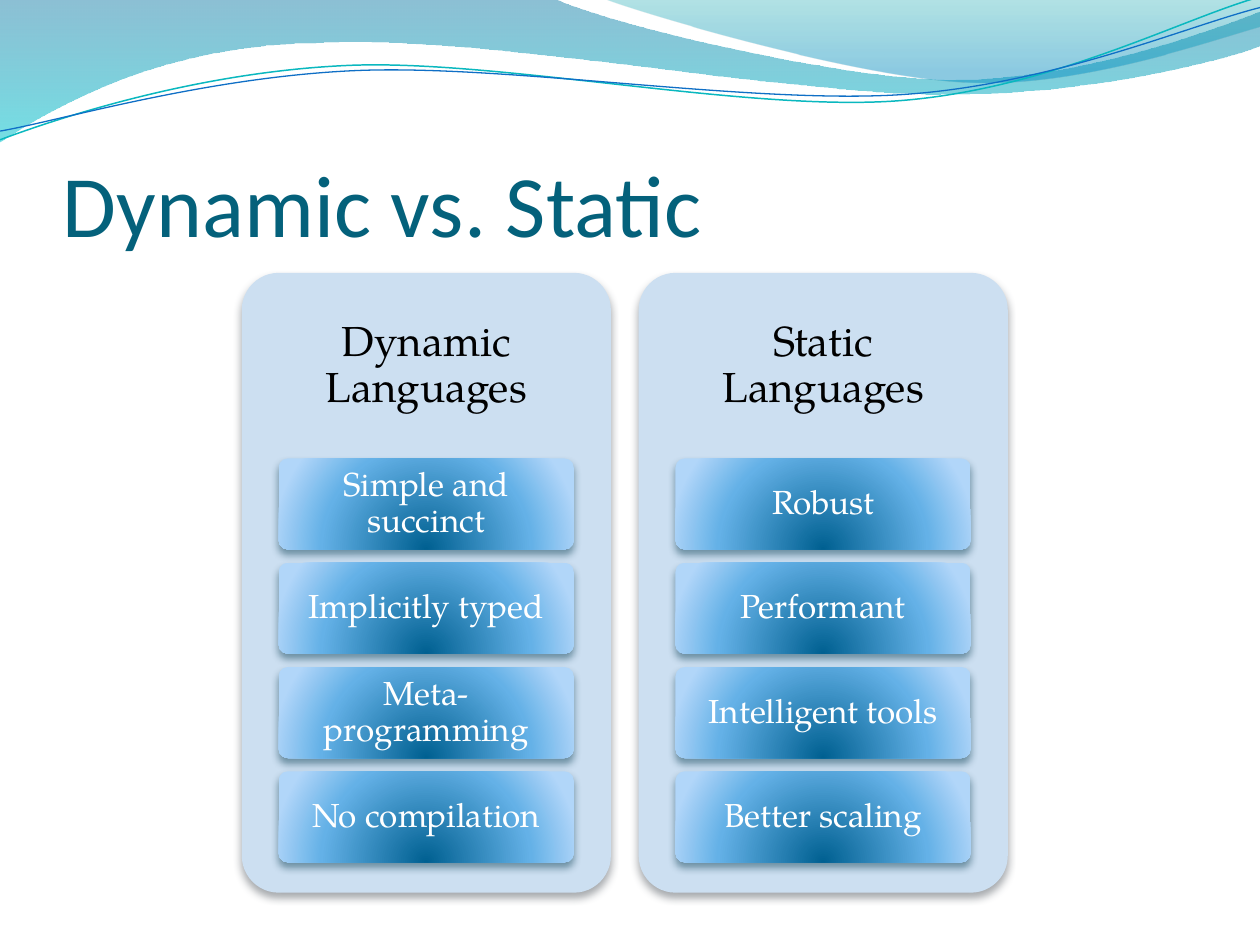
from lxml import etree
from pptx import Presentation
from pptx.dml.color import RGBColor
from pptx.enum.shapes import MSO_SHAPE as SHAPE
from pptx.enum.text import MSO_ANCHOR as ANCHOR, PP_ALIGN as ALIGN
from pptx.oxml import parse_xml
from pptx.oxml.ns import nsdecls, qn
from pptx.util import Pt

WHITE = RGBColor(0xFF, 0xFF, 0xFF)
BLACK = RGBColor(0x00, 0x00, 0x00)
TITLE = RGBColor(0x04, 0x61, 0x7B)
PANEL = RGBColor(0xCC, 0xDF, 0xF1)
PANEL_SHADOW = RGBColor(0x47, 0x4E, 0x55)
ITEM_SHADOW = RGBColor(0x00, 0x37, 0x4C)
ITEM_DARK = RGBColor(0x00, 0x60, 0x91)
ITEM_MID = RGBColor(0x64, 0xB1, 0xE7)
ITEM_LIGHT = RGBColor(0xB1, 0xD6, 0xF9)
WAVE_BLUE = RGBColor(0x00, 0x74, 0xA1)
WAVE_CYAN = RGBColor(0x00, 0xC6, 0xCF)
CREST_TEAL = RGBColor(0x00, 0xA1, 0xA9)
CREST_BLUE = RGBColor(0x00, 0x8B, 0xBF)
LINE_TEAL = RGBColor(0x0A, 0xB8, 0xBF)
LINE_BLUE = RGBColor(0x0F, 0x6F, 0xC6)

DOWN = '<a:lin ang="5400000" scaled="0"/>'
GLOW = '<a:path path="circle"><a:fillToRect l="50000" t="130000" r="50000" b="-30000"/></a:path>'


def set_gradient(s, stops, direction):
    s.fill.gradient()
    old = s._element.spPr.find(qn("a:gradFill"))
    gs = "".join(
        f'<a:gs pos="{pos * 1000}"><a:srgbClr val="{color}"><a:alpha val="{alpha * 1000}"/></a:srgbClr></a:gs>'
        for pos, color, alpha in stops)
    new = parse_xml(f'<a:gradFill {nsdecls("a")} rotWithShape="1"><a:gsLst>{gs}</a:gsLst>{direction}</a:gradFill>')
    old.getparent().replace(old, new)


def add_card(shapes, x, y, w, h, shadow):
    s = shapes.add_shape(SHAPE.ROUNDED_RECTANGLE, Pt(x), Pt(y), Pt(w), Pt(h))
    s.adjustments[0] = 0.1
    s.line.fill.background()
    s.shadow.inherit = False
    s._element.spPr.find(qn("a:effectLst")).append(parse_xml(
        f'<a:outerShdw {nsdecls("a")} blurRad="{Pt(4.5)}" dist="{Pt(3)}" dir="5400000" rotWithShape="0">'
        f'<a:srgbClr val="{shadow}"><a:alpha val="48000"/></a:srgbClr></a:outerShdw>'))
    return s


prs = Presentation()
prs.slide_width, prs.slide_height = Pt(720), Pt(540)
shapes = prs.slides.add_slide(prs.slide_layouts[6]).shapes

waves = [
    ((0, -0.7), [(316.8, -0.7), (342.7, 12.2, 478.1, 45.4, 545.8, 45.4),
                 (614.2, 45.4, 689.8, 18.7, 720, 6.5), (720.7, 25.9),
                 (707.8, 31.7, 626.4, 54.7, 537.1, 54), (447.8, 54, 275, 20.2, 185, 24.5),
                 (92.9, 25.2, 33.1, 59.8, -0.7, 81.4), (0, -0.7)],
     [(0, WAVE_BLUE, 45), (100, WAVE_CYAN, 55)], None),
    ((344.9, -0.7), [(366.5, 7.9, 491, 44.6, 553.7, 46.8),
                     (616.3, 49.7, 691.9, 23, 720, 15.1), (720, 0), (344.9, -0.7)],
     [(0, CREST_TEAL, 30), (80, CREST_BLUE, 45)], None),
    ((0, 79.9), [(34.6, 67, 113.8, 41, 199.4, 37.4), (284.4, 33.8, 427, 64.1, 513.4, 57.6),
                 (599.8, 51.1, 675.4, 10.8, 718.6, -1.4)],
     None, (LINE_TEAL, 0.85)),
    ((0, 74.9), [(33.8, 69.1, 118.1, 43.9, 203.8, 40.3), (290.2, 36.7, 429.8, 59.8, 516.2, 54),
                 (601.9, 48.2, 677.5, 15.1, 720, 4.3)],
     None, (LINE_BLUE, 0.75)),
]
for start, segments, stops, stroke in waves:
    points = [(Pt(x), Pt(y)) for seg in segments for x, y in zip(seg[::2], seg[1::2])]
    builder = shapes.build_freeform(Pt(start[0]), Pt(start[1]))
    builder.add_line_segments(points, close=stroke is None)
    s = builder.convert_to_shape()
    steps = iter(list(s._element.iter(qn("a:lnTo"))))
    for seg in segments:
        step = next(steps)
        if len(seg) == 6:
            curve = etree.Element(qn("a:cubicBezTo"))
            step.addprevious(curve)
            for part in (step, next(steps), next(steps)):
                curve.append(part[0])
                part.getparent().remove(part)
    s.shadow.inherit = False
    if stroke:
        s.fill.background()
        s.line.color.rgb, s.line.width = stroke[0], Pt(stroke[1])
    else:
        set_gradient(s, stops, DOWN)
        s.line.fill.background()

columns = [
    ("Dynamic\vLanguages", ["Simple and succinct", "Implicitly typed", "Meta-programming", "No compilation"]),
    ("Static\vLanguages", ["Robust", "Performant", "Intelligent tools", "Better scaling"]),
]
for col, (heading, items) in enumerate(columns):
    x = 138.2 + 226.8 * col
    panel = add_card(shapes, x, 155.9, 210.9, 354.2, PANEL_SHADOW)
    panel.fill.solid()
    panel.fill.fore_color.rgb = PANEL
    labels = [(heading, (x, 155.9, 210.9, 106.3), 24, BLACK, 7.2, 7.2)]
    for row, item in enumerate(items):
        labels.append((item, (x + 21, 262 + 59.6 * row, 168.7, 52), 19, WHITE, 3.6, 2.8))
    for text, box, size, color, side, edge in labels:
        if text != heading:
            s = add_card(shapes, *box, ITEM_SHADOW)
            set_gradient(s, [(0, ITEM_DARK, 100), (68, ITEM_MID, 100), (100, ITEM_LIGHT, 100)], GLOW)
        tf = shapes.add_textbox(*map(Pt, box)).text_frame
        tf.word_wrap = True
        tf.vertical_anchor = ANCHOR.MIDDLE
        tf.margin_left = tf.margin_right = Pt(side)
        tf.margin_top = tf.margin_bottom = Pt(edge)
        tf.text = text
        p = tf.paragraphs[0]
        p.alignment = ALIGN.CENTER
        p.line_spacing = 0.9
        for r in p.runs:
            r.font.name, r.font.size = "TeX Gyre Pagella", Pt(size)
            r.font.color.rgb = color

tf = shapes.add_textbox(Pt(36), Pt(55.7), Pt(648), Pt(90)).text_frame
tf.word_wrap = True
tf.vertical_anchor = ANCHOR.BOTTOM
tf.margin_left = tf.margin_right = tf.margin_bottom = 0
tf.margin_top = Pt(3.6)
tf.text = "Dynamic vs. Static"
r = tf.paragraphs[0].runs[0]
r.font.name, r.font.size = "Calibri", Pt(50)
r.font.color.rgb = TITLE

prs.save("out.pptx")
